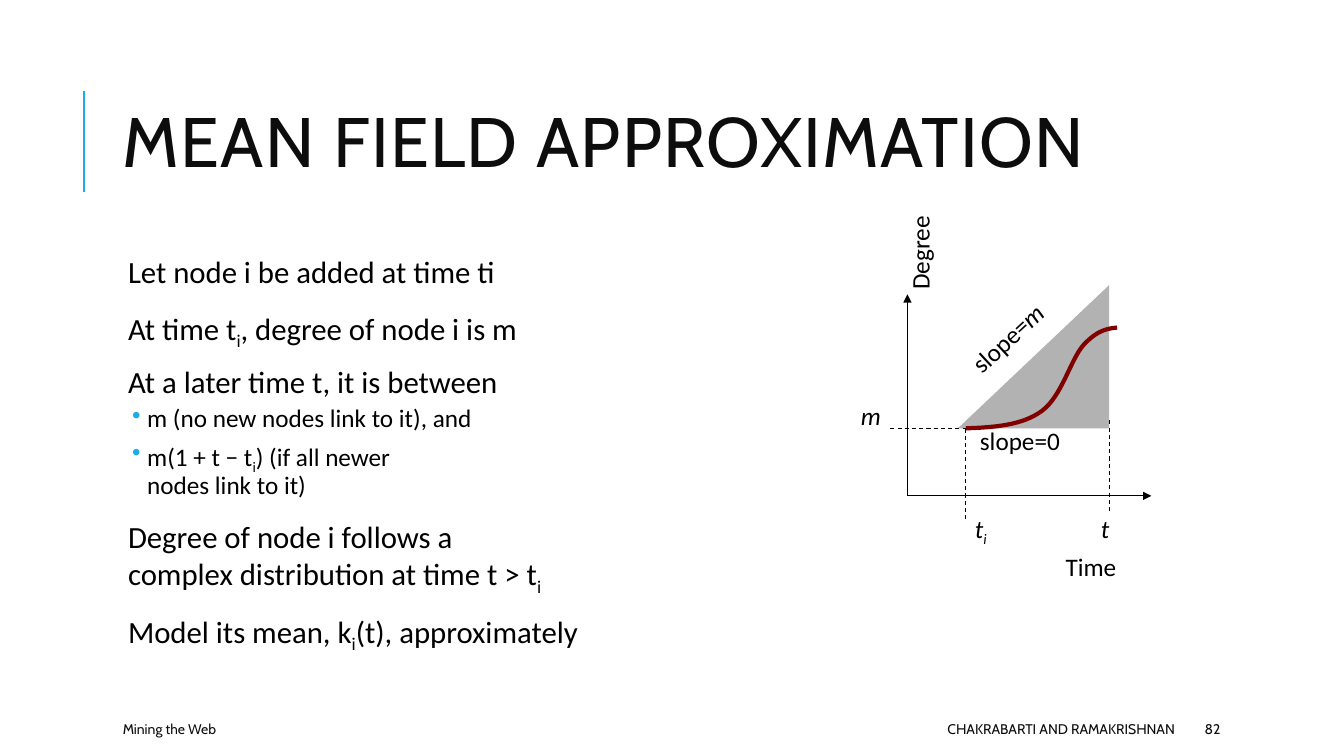
from dataclasses import dataclass

from lxml.etree import SubElement
from pptx import Presentation
from pptx.dml.color import RGBColor
from pptx.enum.dml import MSO_LINE
from pptx.enum.shapes import MSO_CONNECTOR, MSO_SHAPE
from pptx.enum.text import MSO_ANCHOR, MSO_AUTO_SIZE, PP_ALIGN
from pptx.oxml.ns import qn
from pptx.util import Inches, Pt


@dataclass(frozen=True)
class Theme:
    accent: str = "1CADE4"
    heading: str = "0D0D0D"
    ink: str = "000000"
    region: str = "B2B2B2"
    curve: str = "800000"
    heading_font: str = "Cabin"
    body_font: str = "Calibri"
    title_size: int = 50
    body_size: int = 22
    small_size: int = 18
    footer_size: int = 10


THEME = Theme()

# Level and text; pieces between bars are subscripts
BODY = [
    (0, "Let node i be added at time ti"),
    (0, "At time t|i|, degree of node i is m"),
    (0, "At a later time t, it is between"),
    (1, "m (no new nodes link to it), and"),
    (1, "m(1 + t − t|i|) (if all newer\nnodes link to it)"),
    (0, "Degree of node i follows a\ncomplex distribution at time t > t|i|"),
    (0, "Model its mean, k|i|(t), approximately"),
]

# Diagram coordinates
ORIGIN_X, ORIGIN_Y = 9, 4.92
START_X, END_X, START_Y = 9.58, 11, 4.25
CURVE = [
    [(9.58, 4.25), (9.86, 4.24), (10.14, 4.22), (10.33, 4.08)],
    [(10.33, 4.08), (10.53, 3.94), (10.62, 3.56), (10.75, 3.42)],
    [(10.75, 3.42), (10.88, 3.28), (10.98, 3.26), (11.08, 3.25)],
]


def color(value):
    return RGBColor.from_string(value)


def set_font(font, name, size, value):
    font.name, font.size = name, Pt(size)
    font.color.rgb = color(value)


def subscript(run):
    run._r.get_or_add_rPr().set("baseline", "-25000")


def italic(run):
    run.font.italic = True


def write_runs(paragraph, text, mark=subscript):
    """Apply mark to each piece that stands between bars."""
    for index, piece in enumerate(text.split("|")):
        for number, line in enumerate(piece.split("\n")):
            if number:
                paragraph.add_line_break()
            if line:
                run = paragraph.add_run()
                run.text = line
                if index % 2:
                    mark(run)


def add_box(slide, left, top, width, height):
    box = slide.shapes.add_textbox(*map(Inches, (left, top, width, height)))
    box.text_frame.word_wrap = True
    return box


def add_heading(slide, text, place, size, align=PP_ALIGN.LEFT):
    frame = add_box(slide, *place).text_frame
    frame.vertical_anchor = MSO_ANCHOR.MIDDLE
    paragraph = frame.paragraphs[0]
    paragraph.alignment = align
    write_runs(paragraph, text)
    set_font(paragraph.font, THEME.heading_font, size, THEME.heading)
    return paragraph


def set_indent(paragraph, margin, hanging=0):
    properties = paragraph._p.get_or_add_pPr()
    properties.set("marL", str(Inches(margin)))
    properties.set("indent", str(-Inches(hanging)))
    return properties


def add_bullet(properties):
    bullet_color = SubElement(properties, qn("a:buClr"))
    SubElement(bullet_color, qn("a:srgbClr")).set("val", THEME.accent)
    SubElement(properties, qn("a:buChar")).set("char", "•")


def add_body(slide):
    frame = add_box(slide, 1.12, 2.5, 10.63, 4.4).text_frame
    frame.margin_left = frame.margin_right = Inches(0.05)
    frame.margin_top = frame.margin_bottom = Inches(0.05)
    for index, (level, text) in enumerate(BODY):
        paragraph = frame.add_paragraph() if index else frame.paragraphs[0]
        paragraph.level = level
        paragraph.line_spacing = 0.9
        if index:
            paragraph.space_before = Pt(2 if level else 12)
        paragraph.space_after = Pt(4 if level else 2)
        if level:
            add_bullet(set_indent(paragraph, 0.29, 0.15))
        else:
            set_indent(paragraph, 0.1)
        write_runs(paragraph, text)
        size = THEME.small_size if level else THEME.body_size
        set_font(paragraph.font, THEME.body_font, size, THEME.ink)


def add_label(slide, text, left, top, width, slanted=False, rotation=0, mark=subscript):
    box = add_box(slide, left, top, width, 0.5)
    box.rotation = rotation
    box.text_frame.word_wrap = False
    box.text_frame.auto_size = MSO_AUTO_SIZE.SHAPE_TO_FIT_TEXT
    paragraph = box.text_frame.paragraphs[0]
    write_runs(paragraph, text, mark)
    set_font(paragraph.font, THEME.body_font, THEME.small_size, THEME.ink)
    if slanted:
        paragraph.font.italic = True


def add_line(slide, start, end, value=THEME.ink, width=0.75, dashed=False, arrow=False):
    line = slide.shapes.add_connector(
        MSO_CONNECTOR.STRAIGHT, *map(Inches, (*start, *end)))
    line.line.color.rgb = color(value)
    line.line.width = Pt(width)
    if dashed:
        line.line.dash_style = MSO_LINE.DASH
    if arrow:
        SubElement(line.line._get_or_add_ln(), qn("a:tailEnd")).set("type", "triangle")
    SubElement(line._element.spPr, qn("a:effectLst"))


def add_region(slide):
    region = slide.shapes.add_shape(
        MSO_SHAPE.RIGHT_TRIANGLE, *map(Inches, (9.5, 2.83, 1.5, 1.42)))
    region._element.spPr.xfrm.set("flipH", "1")
    region.shadow.inherit = False
    region.fill.solid()
    region.fill.fore_color.rgb = color(THEME.region)
    region.line.fill.background()


def bezier_point(controls, t):
    weights = ((1 - t) ** 3, 3 * t * (1 - t) ** 2, 3 * t ** 2 * (1 - t), t ** 3)
    return tuple(Inches(sum(w * point[axis] for w, point in zip(weights, controls)))
                 for axis in (0, 1))


def add_curve(slide, steps=16):
    points = [bezier_point(controls, step / steps)
              for controls in CURVE for step in range(1, steps + 1)]
    builder = slide.shapes.build_freeform(*bezier_point(CURVE[0], 0))
    builder.add_line_segments(points, close=False)
    curve = builder.convert_to_shape()
    curve.shadow.inherit = False
    curve.fill.background()
    curve.line.color.rgb = color(THEME.curve)
    curve.line.width = Pt(3)


def add_diagram(slide):
    # Axes
    for end in ((11.42, ORIGIN_Y), (ORIGIN_X, 2.92)):
        add_line(slide, (ORIGIN_X, ORIGIN_Y), end, arrow=True)
    add_label(slide, "Time", 10.47, 5.42, 0.94)
    add_label(slide, "Degree", 8.52, 2.07, 1.3, rotation=270)
    # Range of possible degrees
    add_region(slide)
    # Guides and their labels
    add_line(slide, (START_X, START_Y), (START_X, 5.17), dashed=True)
    add_line(slide, (8.83, START_Y), (START_X, START_Y), dashed=True)
    add_line(slide, (END_X, 4.17), (END_X, 5.08), dashed=True)
    add_label(slide, "t|i", 9.57, 5.04, 0.34, slanted=True)
    add_label(slide, "m", 8.44, 3.92, 0.48, slanted=True)
    add_label(slide, "t", 10.82, 5.04, 0.29, slanted=True)
    add_label(slide, "slope=0", 9.62, 4.17, 1.38)
    add_label(slide, "slope=|m", 9.44, 3, 1.47, rotation=317.2, mark=italic)
    # Degree over time
    add_curve(slide)


def main():
    presentation = Presentation()
    presentation.slide_width, presentation.slide_height = Inches(13.33), Inches(7.5)
    slide = presentation.slides.add_slide(presentation.slide_layouts[6])

    # Title with accent rule
    add_line(slide, (0.83, 1.9), (0.83, 0.9), THEME.accent, 1.5)
    title = add_heading(slide, "MEAN FIELD APPROXIMATION",
                        (1.12, 0.64, 10.63, 1.64), THEME.title_size)
    title.line_spacing = 0.8
    title.runs[0]._r.get_or_add_rPr().set("spc", "100")

    add_body(slide)

    # Footer
    size = THEME.footer_size
    add_heading(slide, "Mining the Web", (1.12, 7.08, 2.36, 0.3), size)
    add_heading(slide, "CHAKRABARTI AND RAMAKRISHNAN", (5.3, 7.08, 6.45, 0.3),
                size, PP_ALIGN.RIGHT)
    add_heading(slide, "82", (11.85, 7.08, 1.06, 0.3), size)

    add_diagram(slide)
    presentation.save("out.pptx")


if __name__ == "__main__":
    main()
